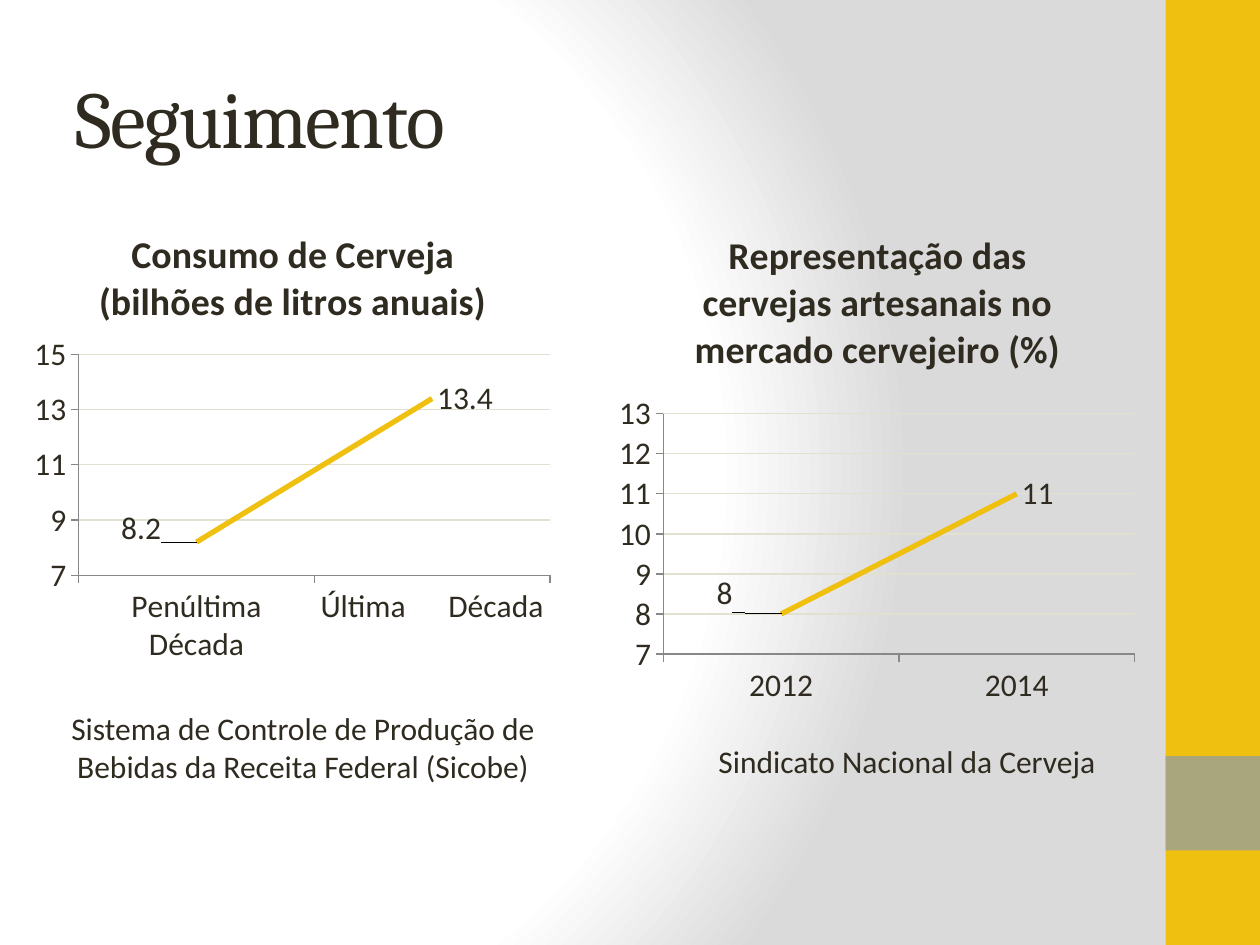
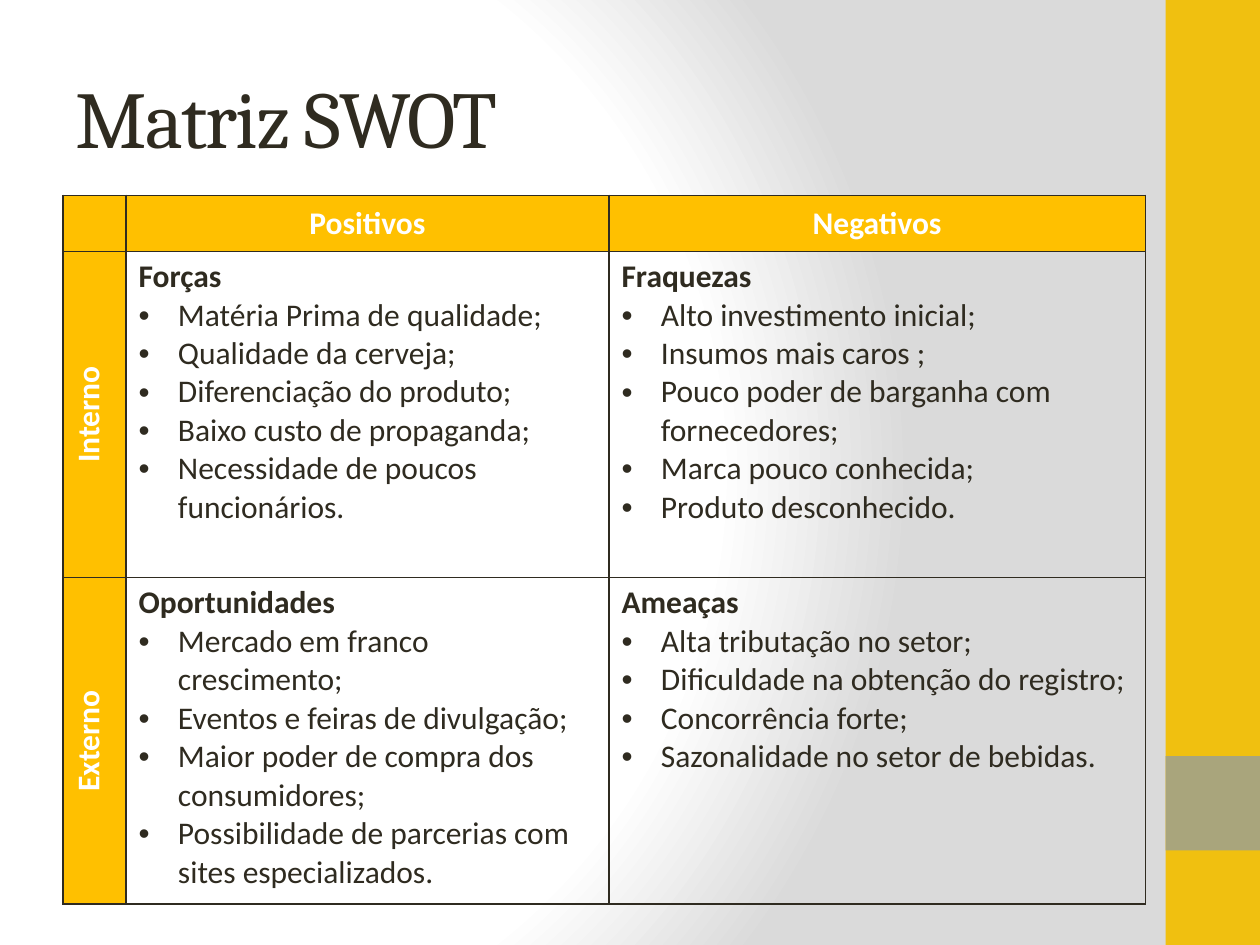
from dataclasses import dataclass
from typing import Any

from lxml import etree
from pptx import Presentation
from pptx.chart.data import CategoryChartData
from pptx.dml.color import RGBColor
from pptx.enum import chart as ch
from pptx.enum import shapes, text
from pptx.oxml import parse_xml
from pptx.oxml.ns import nsdecls, qn
from pptx.util import Pt

INK = RGBColor(0x2F, 0x2B, 0x20)
WHITE = RGBColor(0xFF, 0xFF, 0xFF)
SILVER = RGBColor(0xDA, 0xDA, 0xDA)
YELLOW = RGBColor(0xF0, 0xC0, 0x10)
OLIVE = RGBColor(0xA9, 0xA5, 0x7C)
AMBER = RGBColor(0xFF, 0xC0, 0x00)
GRID = RGBColor(0xE2, 0xE0, 0xCE)
AXIS = RGBColor(0x88, 0x88, 0x88)

BODY = {"name": "Calibri", "size": Pt(18), "bold": False}
STRONG = {**BODY, "bold": True}
CHART_TITLE = {**STRONG, "size": Pt(21.6)}
HEADING = {"name": "Cambria", "size": Pt(46), "bold": False}
CENTER = text.PP_ALIGN.CENTER
MIDDLE = text.MSO_ANCHOR.MIDDLE


@dataclass(frozen=True)
class Box:
    left: float
    top: float
    width: float
    height: float

    def lengths(self) -> tuple[Pt, ...]:
        return Pt(self.left), Pt(self.top), Pt(self.width), Pt(self.height)


@dataclass(frozen=True)
class Band:
    box: Box
    color: RGBColor


@dataclass(frozen=True)
class Trend:
    box: Box
    title: str
    categories: tuple[str, str]
    values: tuple[float, float]
    maximum: float
    step: float
    plot_top: float
    first_label_shift: tuple[float, float]
    source: str
    source_box: Box


@dataclass(frozen=True)
class Quadrant:
    heading: str
    points: tuple[str, ...]


BANDS = (
    Band(Box(666, 0, 54, 540), YELLOW),
    Band(Box(666, 432, 54, 54), OLIVE),
)
TITLE_BOX = Box(36, 21.6, 600, 90)

TRENDS = (
    Trend(Box(14.4, 116.6, 306, 268.6), "Consumo de Cerveja (bilhões de litros anuais)",
          ("Penúltima Década", "Última      Década"), (8.2, 13.4), 15, 2, 0.32, (-0.15, -0.03),
          "Sistema de Controle de Produção de Bebidas da Receita Federal (Sicobe)",
          Box(14.4, 401.8, 317.5, 51)),
    Trend(Box(348.5, 116.6, 306, 292.3),
          "Representação das cervejas artesanais no mercado cervejeiro (%)",
          ("2012", "2014"), (8, 11), 13, 1, 0.41, (-0.13, -0.04),
          "Sindicato Nacional da Cerveja", Box(382.3, 420.5, 272, 29)),
)

SWOT_BOX = Box(36, 111.6, 618.5, 405)
SWOT_COLUMNS = (36, 276, 306.5)
SWOT_ROWS = (32, 186.5, 186.5)
SWOT_HEADERS = ("Positivos", "Negativos")
SWOT = {
    "Interno": (
        Quadrant("Forças", (
            "Matéria Prima de qualidade;",
            "Qualidade da cerveja;",
            "Diferenciação do produto;",
            "Baixo custo de propaganda;",
            "Necessidade de poucos funcionários.",
        )),
        Quadrant("Fraquezas", (
            "Alto investimento inicial;",
            "Insumos mais caros ;",
            "Pouco poder de barganha com fornecedores;",
            "Marca pouco conhecida;",
            "Produto desconhecido.",
        )),
    ),
    "Externo": (
        Quadrant("Oportunidades", (
            "Mercado em franco crescimento;",
            "Eventos e feiras de divulgação;",
            "Maior poder de compra dos consumidores;",
            "Possibilidade de parcerias com sites especializados.",
        )),
        Quadrant("Ameaças", (
            "Alta tributação no setor;",
            "Dificuldade na obtenção do registro;",
            "Concorrência forte;",
            "Sazonalidade no setor de bebidas.",
        )),
    ),
}


def format_font(font: Any, style: dict[str, Any], color: RGBColor = INK) -> None:
    for name, value in style.items():
        setattr(font, name, value)
    font.color.rgb = color


def write(para: Any, words: str, style: dict[str, Any], color: RGBColor = INK) -> Any:
    span = para.add_run()
    span.text = words
    format_font(span.font, style, color)
    return span


def paint_background(master: Any) -> None:
    master.background.fill.solid()
    solid = master.element.find(".//" + qn("p:bgPr")).find(qn("a:solidFill"))
    stops = "".join(
        f'<a:gs pos="{place * 1000}"><a:srgbClr val="{color}"/></a:gs>'
        for place, color in ((0, WHITE), (75, WHITE), (100, SILVER))
    )
    gradient = parse_xml(
        f'<a:gradFill {nsdecls("a")} rotWithShape="1"><a:gsLst>{stops}</a:gsLst>'
        '<a:path path="circle"><a:fillToRect l="20000" t="50000" r="100000" b="50000"/>'
        "</a:path></a:gradFill>"
    )
    solid.getparent().replace(solid, gradient)


def add_page(deck: Any, heading: str) -> Any:
    page = deck.slides.add_slide(deck.slide_layouts[5])
    for band in BANDS:
        block = page.shapes.add_shape(shapes.MSO_SHAPE.RECTANGLE, *band.box.lengths())
        block.shadow.inherit = False
        block.fill.solid()
        block.fill.fore_color.rgb = band.color
        block.line.fill.background()
    title = page.shapes.title
    title.left, title.top, title.width, title.height = TITLE_BOX.lengths()
    frame = title.text_frame
    frame.auto_size = text.MSO_AUTO_SIZE.NONE
    frame.vertical_anchor = MIDDLE
    para = frame.paragraphs[0]
    para.alignment = text.PP_ALIGN.LEFT
    span = write(para, heading, HEADING)
    span.font._element.set("spc", "-100")
    return page


def manual_layout(places: dict[str, Any]) -> Any:
    layout = etree.Element(qn("c:layout"))
    manual = etree.SubElement(layout, qn("c:manualLayout"))
    for name, value in places.items():
        etree.SubElement(manual, qn(f"c:{name}")).set("val", str(value))
    return layout


def style_axis(axis: Any) -> None:
    axis.major_tick_mark = ch.XL_TICK_MARK.OUTSIDE
    axis.minor_tick_mark = ch.XL_TICK_MARK.NONE
    axis.format.line.color.rgb = AXIS
    axis.format.line.width = Pt(0.75)


def add_trend(page: Any, trend: Trend) -> None:
    data = CategoryChartData()
    data.categories = trend.categories
    data.add_series("Series 1", trend.values)
    chart = page.shapes.add_chart(ch.XL_CHART_TYPE.LINE, *trend.box.lengths(), data).chart
    format_font(chart.font, BODY)
    chart.has_legend = False
    chart.has_title = True
    write(chart.chart_title.text_frame.paragraphs[0], trend.title, CHART_TITLE)

    style_axis(chart.category_axis)
    scale = chart.value_axis
    style_axis(scale)
    limits = {"minimum_scale": 7, "maximum_scale": trend.maximum, "major_unit": trend.step}
    for name, value in limits.items():
        setattr(scale, name, value)
    scale.major_gridlines.format.line.color.rgb = GRID
    scale.major_gridlines.format.line.width = Pt(0.75)

    plot = chart.plots[0]
    plot.vary_by_categories = False
    series = plot.series[0]
    series.smooth = False
    series.format.line.color.rgb = YELLOW
    series.format.line.width = Pt(3)
    series.marker.style = ch.XL_MARKER_STYLE.NONE
    series.data_labels.show_value = True
    series.data_labels.position = ch.XL_LABEL_POSITION.RIGHT
    series.points[0].data_label.position = ch.XL_LABEL_POSITION.RIGHT
    shift_x, shift_y = trend.first_label_shift
    label = series._element.find(".//" + qn("c:dLbl"))
    label.insert(1, manual_layout({"x": shift_x, "y": shift_y}))

    area = chart._chartSpace.find(".//" + qn("c:plotArea"))
    for layout in area.findall(qn("c:layout")):
        area.remove(layout)
    area.insert(0, manual_layout({
        "layoutTarget": "inner", "xMode": "edge", "yMode": "edge",
        "x": 0.1, "y": trend.plot_top, "w": 0.88, "h": 0.47,
    }))

    caption = page.shapes.add_textbox(*trend.source_box.lengths()).text_frame
    caption.word_wrap = True
    caption.paragraphs[0].alignment = CENTER
    write(caption.paragraphs[0], trend.source, BODY)


def add_borders(cell: Any) -> None:
    properties = cell._tc.get_or_add_tcPr()
    for index, side in enumerate("LRTB"):
        properties.insert(index, parse_xml(
            f'<a:ln{side} {nsdecls("a")} w="{Pt(1)}"><a:solidFill>'
            f'<a:srgbClr val="{INK}"/></a:solidFill></a:ln{side}>'
        ))


def fill_header(cell: Any, words: str) -> None:
    cell.fill.solid()
    cell.fill.fore_color.rgb = AMBER
    if words:
        cell.vertical_anchor = MIDDLE
        para = cell.text_frame.paragraphs[0]
        para.alignment = CENTER
        write(para, words, STRONG, WHITE)


def fill_quadrant(cell: Any, quadrant: Quadrant) -> None:
    cell.fill.background()
    frame = cell.text_frame
    write(frame.paragraphs[0], quadrant.heading, STRONG)
    for point in quadrant.points:
        para = frame.add_paragraph()
        properties = para._p.get_or_add_pPr()
        properties.set("marL", str(Pt(22.5)))
        properties.set("indent", str(-Pt(22.5)))
        etree.SubElement(properties, qn("a:buFont")).set("typeface", "Arial")
        etree.SubElement(properties, qn("a:buChar")).set("char", "•")
        write(para, point, BODY)


def add_swot(page: Any) -> None:
    table = page.shapes.add_table(
        len(SWOT_ROWS), len(SWOT_COLUMNS), *SWOT_BOX.lengths()).table
    table.first_row = table.horz_banding = False
    for column, width in zip(table.columns, SWOT_COLUMNS):
        column.width = Pt(width)
    for row, height in zip(table.rows, SWOT_ROWS):
        row.height = Pt(height)
    for column, words in enumerate(("", *SWOT_HEADERS)):
        fill_header(table.cell(0, column), words)
    for row, (origin, quadrants) in enumerate(SWOT.items(), 1):
        side = table.cell(row, 0)
        fill_header(side, origin)
        side._tc.get_or_add_tcPr().set("vert", "vert270")
        for column, quadrant in enumerate(quadrants, 1):
            fill_quadrant(table.cell(row, column), quadrant)
    for cell in table.iter_cells():
        add_borders(cell)


def main() -> None:
    deck = Presentation()
    deck.slide_width, deck.slide_height = Pt(720), Pt(540)
    paint_background(deck.slide_master)
    page = add_page(deck, "Seguimento")
    for trend in TRENDS:
        add_trend(page, trend)
    add_swot(add_page(deck, "Matriz SWOT"))
    deck.save("out.pptx")


if __name__ == "__main__":
    main()
